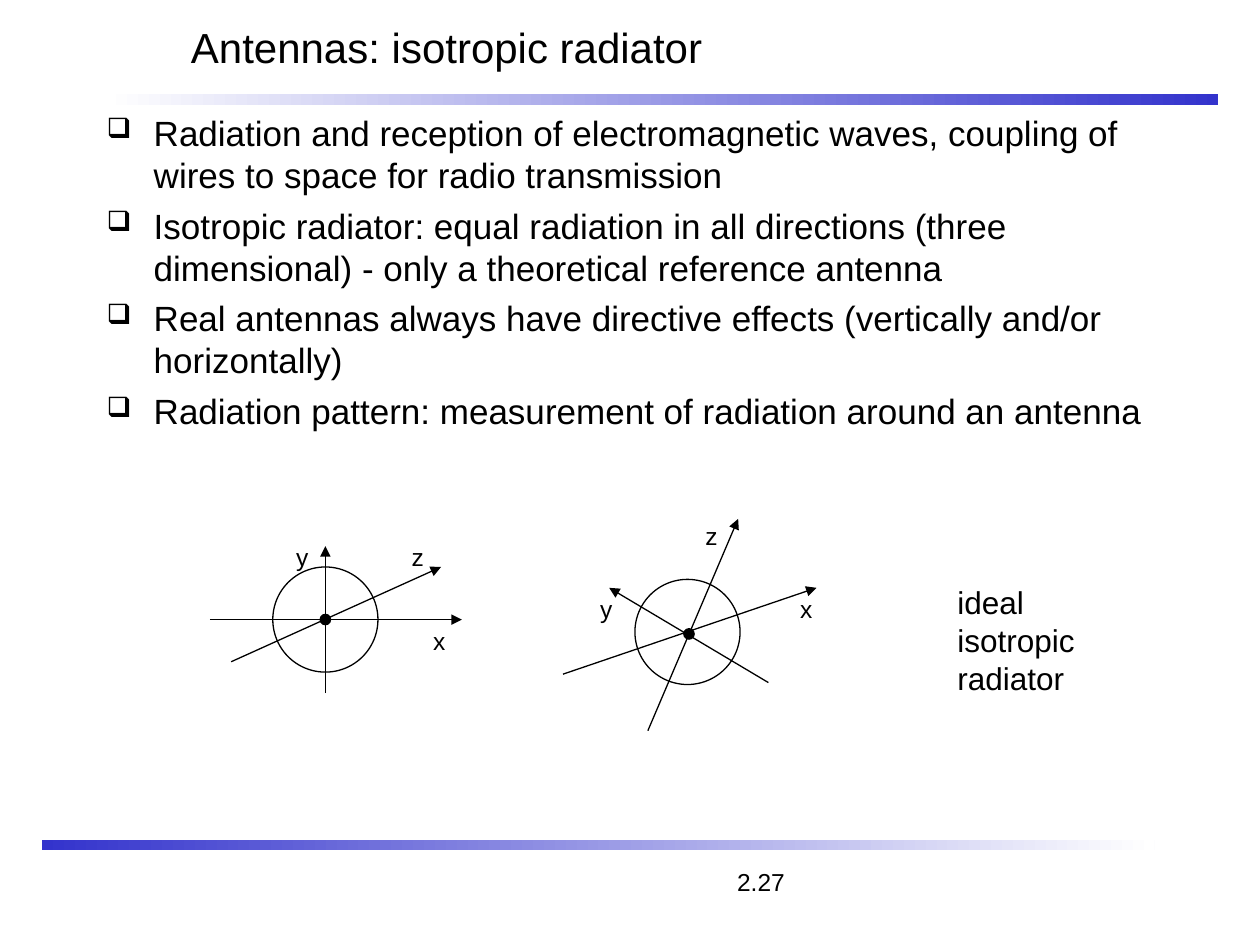
from lxml import etree
from pptx import Presentation
from pptx.dml.color import RGBColor
from pptx.enum import shapes, text
from pptx.oxml.ns import qn
from pptx.util import Cm, Pt

BLACK = RGBColor(0, 0, 0)
WHITE = RGBColor(255, 255, 255)
BLUE = RGBColor(0x33, 0x33, 0xCC)

# Content, all lengths in cm
TITLE = "Antennas: isotropic radiator"
BULLETS = [
    "Radiation and reception of electromagnetic waves, coupling of wires to space for radio transmission",
    "Isotropic radiator: equal radiation in all directions (three dimensional) - only a theoretical reference antenna",
    "Real antennas always have directive effects (vertically and/or horizontally)",
    "Radiation pattern: measurement of radiation around an antenna",
]
CAPTION = ["ideal", "isotropic", "radiator"]
PAGE = "2.27"
BARS = [(2.12, 1.9, WHITE, BLUE), (0.85, 16.93, BLUE, WHITE)]
BAR_SIZE = (22.43, 0.21)
SPHERE, DOT = 2.12, 0.21  # diameters
RADIATORS = [
    {
        "sphere": (6.56, 12.49), "dot": (6.56, 12.49),
        "axes": [((4.23, 12.49), (9.31, 12.49)),
                 ((6.56, 13.97), (6.56, 11.01)),
                 ((4.66, 13.34), (8.89, 11.43))],
        "labels": [("z", 8.05, 10.8), ("y", 5.72, 10.8), ("x", 8.48, 12.49)],
    },
    {
        "sphere": (13.86, 12.74), "dot": (13.89, 12.78),
        "axes": [((11.35, 13.59), (16.46, 11.85)),
                 ((15.49, 13.76), (12.28, 11.85)),
                 ((13.06, 14.73), (14.88, 10.46))],
        "labels": [("z", 13.97, 10.37), ("y", 11.85, 11.85), ("x", 15.88, 11.85)],
    },
]

prs = Presentation()
prs.slide_width, prs.slide_height = Cm(25.4), Cm(19.05)
s = prs.slides.add_slide(prs.slide_layouts[6])


def add_text(lines, left, top, width, height, size, wrap=True,
             anchor=text.MSO_ANCHOR.TOP):
    tf = s.shapes.add_textbox(Cm(left), Cm(top), Cm(width), Cm(height)).text_frame
    tf.word_wrap, tf.vertical_anchor = wrap, anchor
    for i, line in enumerate(lines):
        p = tf.paragraphs[0] if i == 0 else tf.add_paragraph()
        r = p.add_run()
        r.text = line
        for name, value in {"name": "Arial", "size": Pt(size)}.items():
            setattr(r.font, name, value)
        r.font.color.rgb = BLACK
    return tf


def add_circle(center, diameter, filled):
    x, y = (c - diameter / 2 for c in center)
    sp = s.shapes.add_shape(shapes.MSO_SHAPE.OVAL, Cm(x), Cm(y), Cm(diameter), Cm(diameter))
    sp.shadow.inherit = False
    if filled:
        sp.fill.solid()
        sp.fill.fore_color.rgb = BLACK
    else:
        sp.fill.background()
    sp.line.color.rgb, sp.line.width = BLACK, Pt(0.75)


def add_axis(start, end):
    line = s.shapes.add_connector(shapes.MSO_CONNECTOR.STRAIGHT,
                                  *(Cm(v) for v in start + end))
    line.line.color.rgb, line.line.width = BLACK, Pt(0.75)
    etree.SubElement(line.line._get_or_add_ln(), qn("a:tailEnd"), type="triangle")
    etree.SubElement(line._element.spPr, qn("a:effectLst"))


# Gradient bars
for left, top, *colors in BARS:
    sp = s.shapes.add_shape(shapes.MSO_SHAPE.RECTANGLE, Cm(left), Cm(top),
                            *(Cm(v) for v in BAR_SIZE))
    sp.shadow.inherit = False
    sp.line.fill.background()
    sp.fill.gradient()
    sp.fill.gradient_angle = 0
    for stop, color, position in zip(sp.fill.gradient_stops, colors, (0, 1)):
        stop.color.rgb, stop.position = color, position

# Page number on a tab stop
tf = add_text(["\t" + PAGE], 0.85, 17.36, 22.23, 0.85, 14)
tabs = etree.SubElement(tf.paragraphs[0]._p.get_or_add_pPr(), qn("a:tabLst"))
etree.SubElement(tabs, qn("a:tab"), pos=str(Cm(13.76)), algn="l")

# Title and bullets
add_text([TITLE], 3.6, 0, 21.38, 1.9, 24, anchor=text.MSO_ANCHOR.MIDDLE)
body = add_text(BULLETS, 1.9, 2.12, 21.59, 14.81, 20)
for i, p in enumerate(body.paragraphs):
    pPr = p._p.get_or_add_pPr()
    pPr.set("marL", str(Cm(0.95)))
    pPr.set("indent", str(Cm(-0.95)))
    color = etree.SubElement(pPr, qn("a:buClr"))
    etree.SubElement(color, qn("a:srgbClr"), val=str(BLACK))
    etree.SubElement(pPr, qn("a:buSzPct"), val="80000")
    etree.SubElement(pPr, qn("a:buChar"), char="❑")
    if i:
        p.space_before = Pt(5)

# Radiators with their axes
for radiator in RADIATORS:
    for start, end in radiator["axes"]:
        add_axis(start, end)
    add_circle(radiator["dot"], DOT, True)
    add_circle(radiator["sphere"], SPHERE, False)
    for label, left, top in radiator["labels"]:
        add_text([label], left, top, 0.76, 0.86, 14, wrap=False)

add_text(CAPTION, 19.05, 11.63, 2.87, 2.54, 18, wrap=False)

prs.save("out.pptx")
